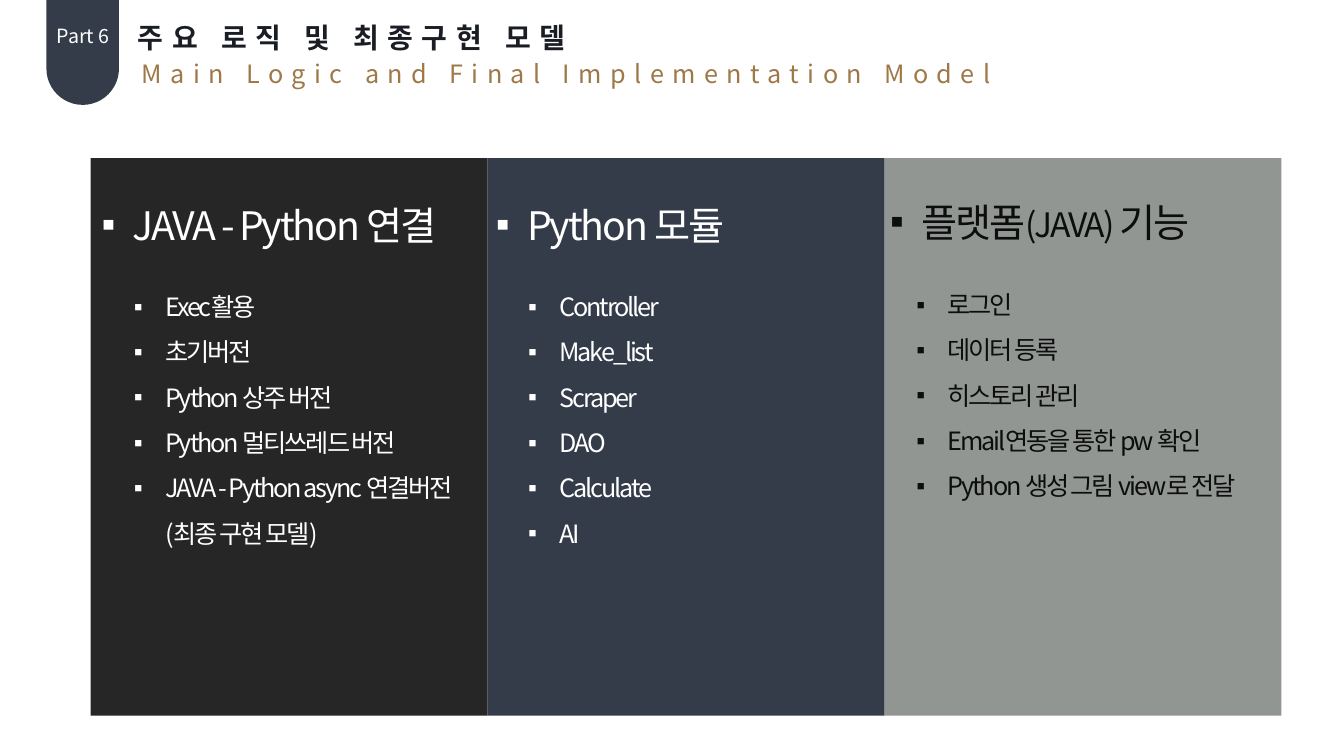
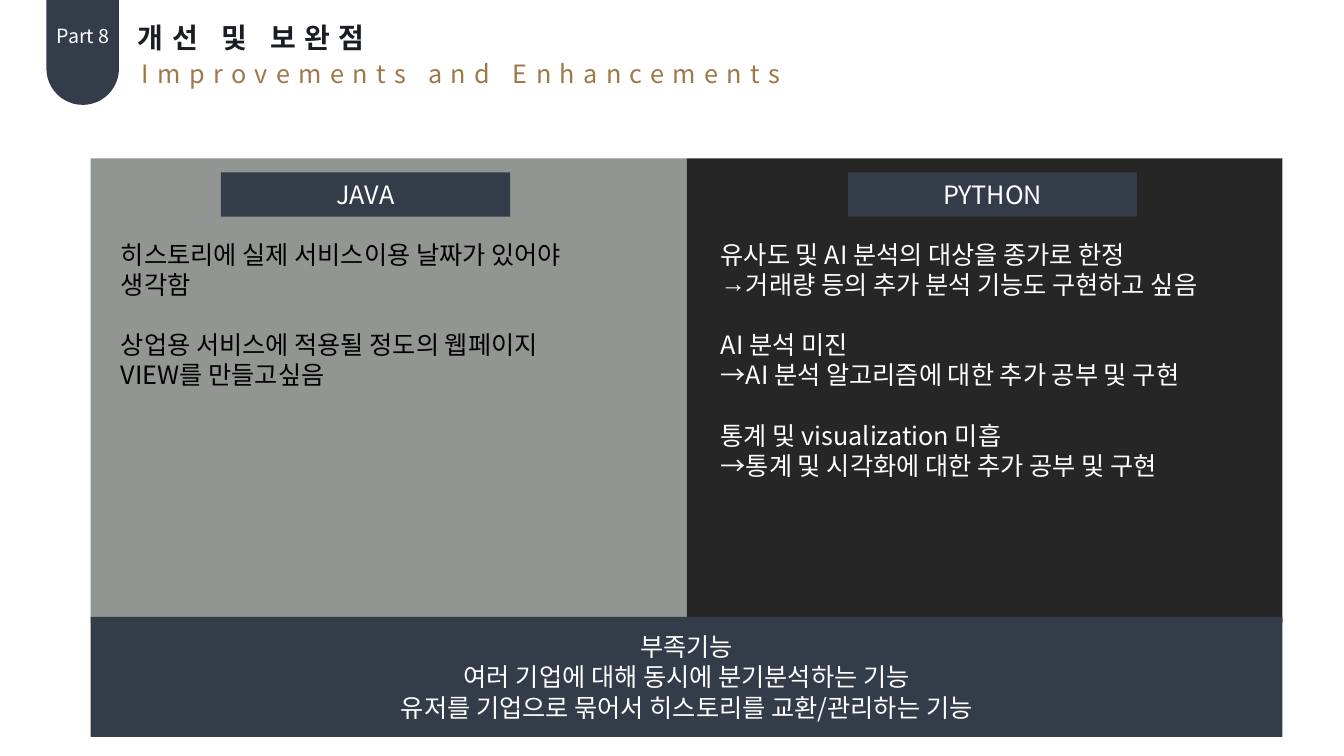
"""Builds two slides on the logic, final model and improvements of a project."""
from lxml import etree
from pptx import Presentation
from pptx.dml.color import RGBColor
from pptx.enum import shapes, text
from pptx.oxml import ns
from pptx.util import Inches, Pt

FONT = "Noto Sans CJK KR"
COLOURS = {
    "navy": "343C49", "charcoal": "262626", "grey": "919693", "gold": "9F7848",
    "title": "1A1E24", "white": "FFFFFF", "ink": "0D0D0D", "black": "000000",
}
SQUARE, ARROW = "▪", "→"

LOGIC = {
    "part": "Part 6",
    "title": ("주요 로직 및 최종구현 모델", 4.94),
    "subtitle": ("Main Logic and Final Implementation Model", 8.77),
}
COLUMNS = [
    {"fill": "charcoal", "colour": "white", "heading": [("JAVA - Python 연결", 28)],
     "heading_top": 1.71, "heading_width": 4.35, "list_box": (1.23, 2.69, 3.48, 2.83),
     "items": ["Exec활용", "초기버전", "Python 상주 버전", "Python 멀티쓰레드 버전",
               "JAVA - Python async 연결버전\n(최종 구현 모델)"]},
    {"fill": "navy", "colour": "white", "heading": [("Python 모듈", 28)],
     "heading_top": 1.71, "heading_width": 4.35, "list_box": (5.14, 2.69, 3.38, 2.83),
     "items": ["Controller", "Make_list", "Scraper", "DAO", "Calculate", "AI"]},
    {"fill": "grey", "colour": "ink",
     "heading": [("플랫폼", 28), ("(JAVA) ", 24), ("기능", 28)],
     "heading_top": 1.68, "heading_width": 3.78, "list_box": (8.99, 2.67, 3.62, 2.37),
     "items": ["로그인", "데이터 등록", "히스토리 관리", "Email연동을 통한 pw 확인",
               "Python 생성 그림 view로 전달"]},
]

IMPROVEMENTS = {
    "part": "Part 8",
    "title": ("개선 및 보완점", 2.75),
    "subtitle": ("Improvements and Enhancements", 6.54),
}
PANELS = [
    {"label": "JAVA", "fill": "grey", "colour": "black", "left": 0.9,
     "label_left": 2.19, "text_left": 1.1, "text_height": 1.62,
     "groups": [[("히스토리에 실제 서비스이용 날짜가 있어야\n생각함", None)],
                [("상업용 서비스에 적용될 정도의 웹페이지\nVIEW를 만들고싶음", None)]]},
    {"label": "PYTHON", "fill": "charcoal", "colour": "white", "left": 6.81,
     "label_left": 8.41, "text_left": 7.05, "text_height": 2.52,
     "groups": [[("유사도 및 AI 분석의 대상을 종가로 한정", None),
                 ("거래량 등의 추가 분석 기능도 구현하고 싶음", ARROW)],
                [("AI 분석 미진", None),
                 ("→AI 분석 알고리즘에 대한 추가 공부 및 구현", None)],
                [("통계 및 visualization 미흡", None),
                 ("→통계 및 시각화에 대한 추가 공부 및 구현", None)]]},
]
MISSING = ["부족기능", "여러 기업에 대해 동시에 분기분석하는 기능",
           "유저를 기업으로 묶어서 히스토리를 교환/관리하는 기능"]


def rgb(name):
    return RGBColor.from_string(COLOURS[name])


def add_panel(page, area, fill, kind=shapes.MSO_SHAPE.RECTANGLE):
    panel = page.shapes.add_shape(kind, *map(Inches, area))
    panel.shadow.inherit = False
    panel.fill.solid()
    panel.fill.fore_color.rgb = rgb(fill)
    panel.line.fill.background()
    return panel


def add_box(page, area, wrap=True):
    box = page.shapes.add_textbox(*map(Inches, area))
    box.text_frame.word_wrap = wrap
    box.text_frame.auto_size = text.MSO_AUTO_SIZE.SHAPE_TO_FIT_TEXT
    return box


def add_bullet(para, mark, indent):
    properties = para._p.get_or_add_pPr()
    properties.set("marL", str(Inches(indent)))
    properties.set("indent", str(-Inches(indent)))
    etree.SubElement(properties, ns.qn("a:buFont")).set("typeface", "Arial")
    etree.SubElement(properties, ns.qn("a:buChar")).set("char", mark)


def add_span(para, words, size, colour, bold=False, spacing=0):
    for number, line in enumerate(words.split("\n")):
        if number:
            para.add_line_break()
        span = para.add_run()
        span.text = line
        span.font.size = Pt(size)
        span.font.bold = bold
        span.font.color.rgb = rgb(colour)
        span.font.name = FONT
        properties = span._r.get_or_add_rPr()
        etree.SubElement(properties, ns.qn("a:ea")).set("typeface", FONT)
        if spacing:
            properties.set("spc", str(int(spacing * 100)))


def next_para(box, number):
    frame = box.text_frame
    return frame.add_paragraph() if number else frame.paragraphs[0]


def add_centred(box, lines, size=18):
    for number, line in enumerate(lines):
        para = next_para(box, number)
        para.alignment = text.PP_ALIGN.CENTER
        add_span(para, line, size, "white")


def add_list(page, area, items, colour):
    box = add_box(page, area)
    for number, spans in enumerate(items):
        para = next_para(box, number)
        add_bullet(para, SQUARE, 0.31)
        para.line_spacing = 1.5
        for words, size in spans:
            add_span(para, words, size, colour, spacing=-1.5)


def add_page(deck, header):
    page = deck.slides.add_slide(deck.slide_layouts[6])
    tab = add_panel(page, (0.46, 0, 0.72, 1.04), "navy",
                    shapes.MSO_SHAPE.ROUND_2_SAME_RECTANGLE)
    tab.adjustments[0] = 0.5
    tab.rotation = 180
    title, width = header["title"]
    box = add_box(page, (1.27, 0.15, width, 0.44), wrap=False)
    add_span(box.text_frame.paragraphs[0], title, 20, "title", bold=True, spacing=6)
    add_centred(add_box(page, (0.46, 0.19, 0.73, 0.34), wrap=False), [header["part"]], 14)
    subtitle, width = header["subtitle"]
    box = add_box(page, (1.31, 0.53, width, 0.4), wrap=False)
    add_span(box.text_frame.paragraphs[0], subtitle, 18, "gold", spacing=6)
    return page


def build_logic(deck):
    page = add_page(deck, LOGIC)
    width = 11.81 / len(COLUMNS)
    for number, column in enumerate(COLUMNS):
        add_panel(page, (0.9 + number * width, 1.57, width, 5.53), column["fill"])
        add_list(page, column["list_box"], [[(item, 18)] for item in column["items"]],
                 column["colour"])
        heading_area = (0.91 + number * 3.91, column["heading_top"],
                        column["heading_width"], 0.81)
        add_list(page, heading_area, [column["heading"]], column["colour"])


def build_improvements(deck):
    page = add_page(deck, IMPROVEMENTS)
    for panel in PANELS:
        add_panel(page, (panel["left"], 1.57, 5.91, 4.61), panel["fill"])
        label = add_panel(page, (panel["label_left"], 1.71, 2.87, 0.44), "navy")
        label.text_frame.vertical_anchor = text.MSO_ANCHOR.MIDDLE
        add_centred(label, [panel["label"]])
        box = add_box(page, (panel["text_left"], 2.32, 5.49, panel["text_height"]))
        number = 0
        for group in panel["groups"]:
            for position, (words, mark) in enumerate(group):
                para = next_para(box, number)
                if mark:
                    add_bullet(para, mark, 0)
                if number and position == 0:
                    para.space_before = Pt(21.6)
                add_span(para, words, 18, panel["colour"])
                number += 1
    band = add_panel(page, (0.9, 6.12, 11.82, 1.19), "navy")
    band.text_frame.vertical_anchor = text.MSO_ANCHOR.MIDDLE
    add_centred(band, MISSING)


def main():
    deck = Presentation()
    deck.slide_width, deck.slide_height = Inches(13.33), Inches(7.5)
    build_logic(deck)
    build_improvements(deck)
    deck.save("out.pptx")


if __name__ == "__main__":
    main()
